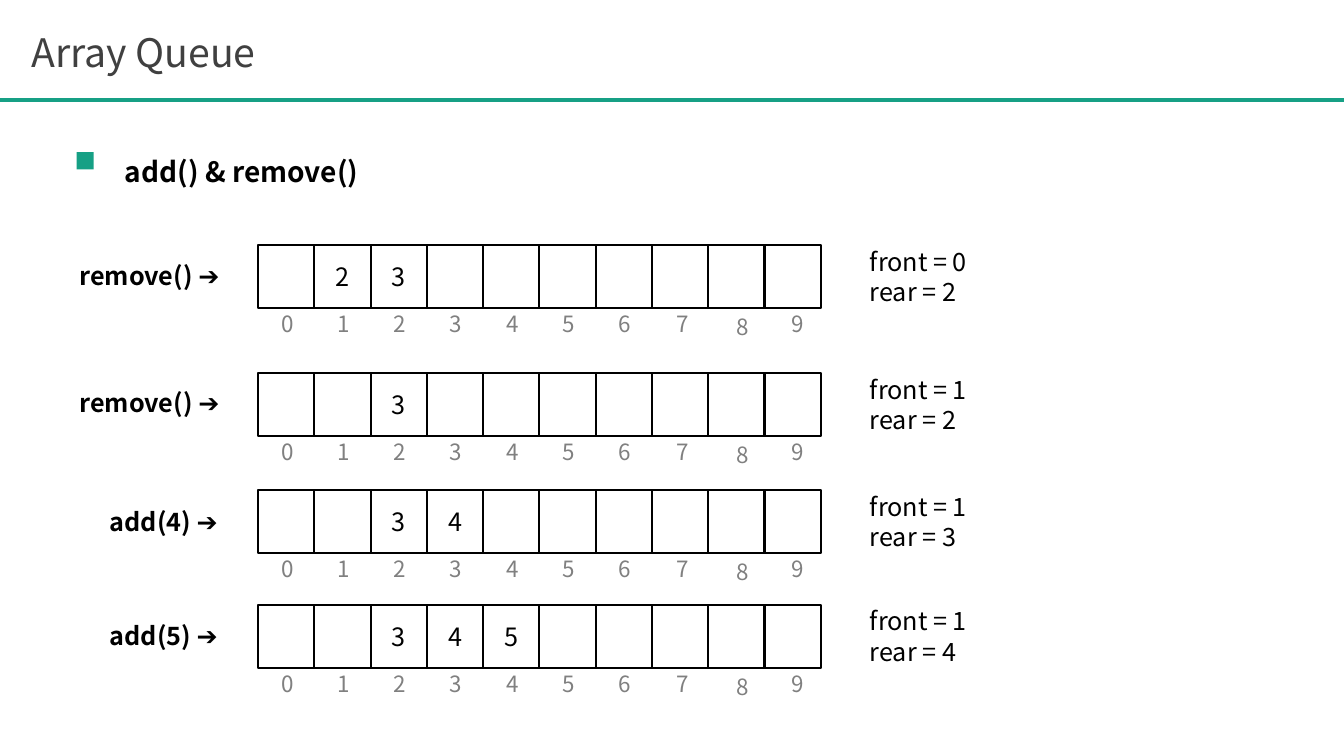
"""Build the Array Queue slide: four queue states after add() and remove()."""
from dataclasses import dataclass

from lxml import etree
from pptx import Presentation
from pptx import util as u
from pptx.dml.color import RGBColor
from pptx.enum import shapes, text
from pptx.oxml.ns import qn


@dataclass(frozen=True)
class Theme:
    font: str = "Noto Sans CJK KR"
    accent: str = "16A085"
    title: str = "404040"
    ink: str = "000000"
    index: str = "808080"
    title_size: int = 28
    heading_size: int = 20
    body_size: int = 18
    index_size: int = 16


THEME = Theme()
TITLE = "Array Queue"
HEADING = "add() & remove()"
STATES = [
    dict(call="remove() ➔", values={1: 2, 2: 3}, front=0, rear=2, top=2.43, call_top=2.53),
    dict(call="remove() ➔", values={2: 3}, front=1, rear=2, top=3.7, call_top=3.79),
    dict(call="add(4) ➔", values={2: 3, 3: 4}, front=1, rear=3, top=4.86, call_top=4.97),
    dict(call="add(5) ➔", values={2: 3, 3: 4, 4: 5}, front=1, rear=4, top=6, call_top=6.11),
]
CAPACITY = 10
ARRAY_LEFT, ARRAY_WIDTH, CELL_HEIGHT = 2.56, 5.58, 0.63
CELL_WIDTH = ARRAY_WIDTH / CAPACITY
CALL_RIGHT = 2.33
INDEX_NUDGE = {7: (0.02, 0), 8: (0.05, 0.03), 9: (0.04, 0)}


def box(*lengths):
    return [u.Inches(length) for length in lengths]


def write(part, words, size, color, bold=False, align=text.PP_ALIGN.LEFT):
    frame = part.text_frame
    frame.text = words
    for paragraph in frame.paragraphs:
        paragraph.alignment = align
        for run in paragraph.runs:
            run.font.name = THEME.font
            run.font.size = u.Pt(size)
            run.font.bold = bold
            run.font.color.rgb = RGBColor.from_string(color)
    return frame


def add_label(parent, place, words, size, color=THEME.ink, bold=False, wrap=True):
    label = parent.add_textbox(*box(*place))
    frame = write(label, words, size, color, bold)
    frame.word_wrap = wrap
    frame.auto_size = text.MSO_AUTO_SIZE.SHAPE_TO_FIT_TEXT
    return frame


def add_box(parent, place, fill=None):
    square = parent.add_shape(shapes.MSO_SHAPE.RECTANGLE, *box(*place))
    square.shadow.inherit = False
    if fill:
        square.fill.solid()
        square.fill.fore_color.rgb = RGBColor.from_string(fill)
        square.line.fill.background()
    else:
        square.fill.background()
        square.line.color.rgb = RGBColor.from_string(THEME.ink)
        square.line.width = u.Pt(1.5)
    return square


def add_array(parent, top, values):
    array = parent.add_group_shape().shapes
    for slot in range(CAPACITY):
        left = ARRAY_LEFT + slot * CELL_WIDTH
        cell = add_box(array, (left, top, CELL_WIDTH, CELL_HEIGHT))
        if slot in values:
            frame = write(cell, str(values[slot]), THEME.body_size, THEME.ink,
                          align=text.PP_ALIGN.CENTER)
            frame.vertical_anchor = text.MSO_ANCHOR.MIDDLE
        right, down = INDEX_NUDGE.get(slot, (0, 0))
        add_label(array, (left + 0.13 + right, top + 0.6 + down, 0.23, 0.37),
                  str(slot), THEME.index_size, THEME.index)


deck = Presentation()
deck.slide_width, deck.slide_height = box(13.33, 7.5)
slide = deck.slides.add_slide(deck.slide_layouts[5])
canvas = slide.shapes

title = canvas.title
title.left, title.top, title.width, title.height = box(0.21, 0.23, 10.15, 0.57)
title_frame = write(title, TITLE, THEME.title_size, THEME.title)
title_frame.vertical_anchor = text.MSO_ANCHOR.TOP
title_frame.auto_size = text.MSO_AUTO_SIZE.SHAPE_TO_FIT_TEXT

rule = canvas.add_connector(shapes.MSO_CONNECTOR.STRAIGHT, *box(0, 0.99, 13.33, 0.99))
rule.line.color.rgb = RGBColor.from_string(THEME.accent)
rule.line.width = u.Pt(3)
etree.SubElement(rule.element.spPr, qn("a:effectLst"))

heading = add_label(canvas, (1.14, 1.15, 9.4, 0.77), HEADING, THEME.heading_size, bold=True)
heading.paragraphs[0].line_spacing = 2.0
add_box(canvas, (0.76, 1.51, 0.17, 0.17), THEME.accent)

for state in STATES:
    add_array(canvas, state["top"], state["values"])
    call_width = 1.64 if state["call"].startswith("remove") else 1.34
    add_label(canvas, (CALL_RIGHT - call_width, state["call_top"], call_width, 0.4),
              state["call"], THEME.body_size, bold=True, wrap=False)
    add_label(canvas, (8.53, state["top"] - 0.04, 2.47, 0.71),
              f"front = {state['front']}\nrear = {state['rear']}", THEME.body_size)

deck.save("out.pptx")
